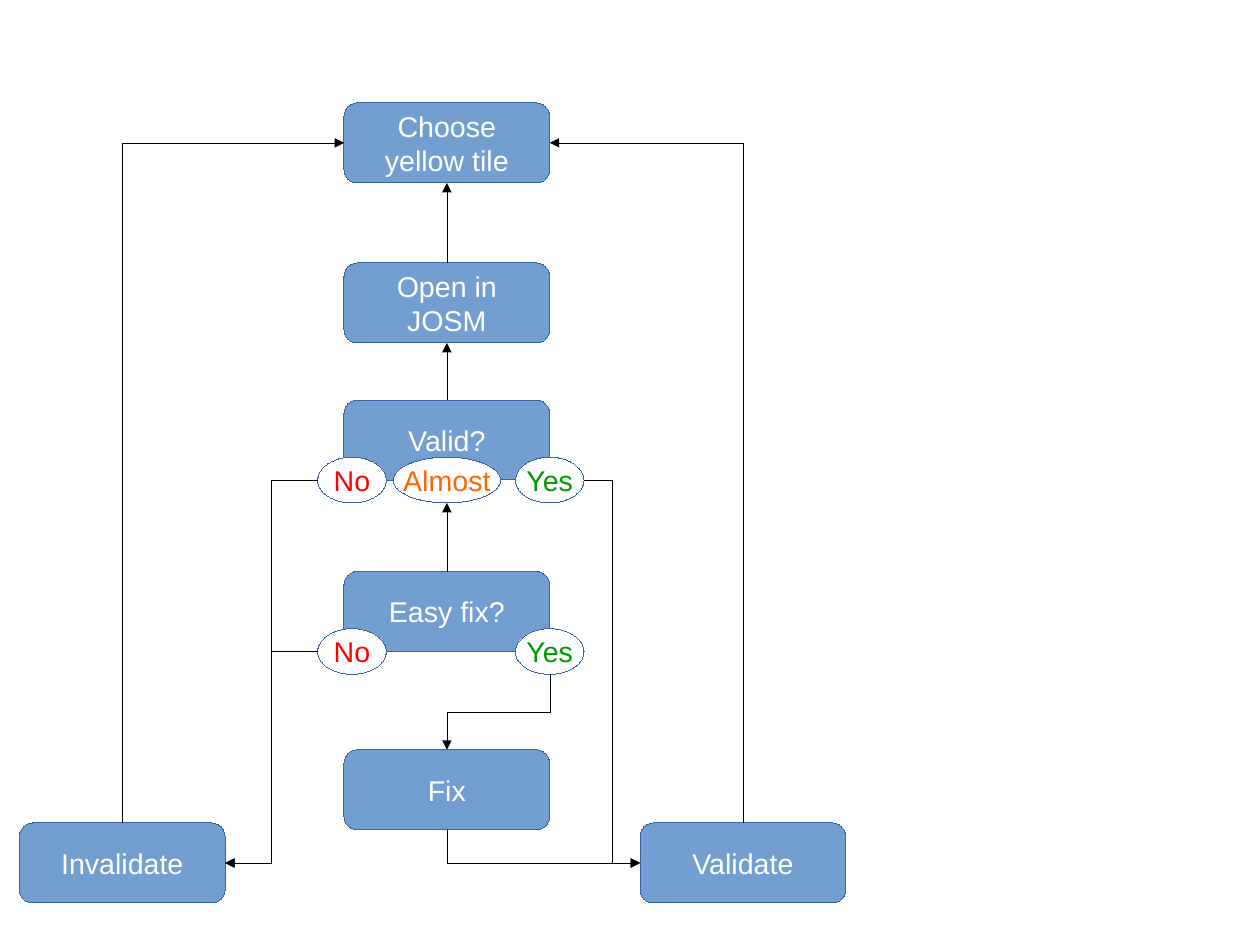
import pptx
import pptx.util
import pptx.dml.color
import pptx.enum.shapes
import pptx.enum.text
import pptx.oxml
import pptx.oxml.ns
from dataclasses import dataclass

Inches = pptx.util.Inches
Shapes = pptx.enum.shapes.MSO_SHAPE
Lines = pptx.enum.shapes.MSO_CONNECTOR
qn = pptx.oxml.ns.qn

# Content: steps (left, top, lines of text)
COLUMN = 3.01
STEPS = {
    "choose": (COLUMN, 0.9, ["Choose", "yellow tile"]),
    "open": (COLUMN, 2.3, ["Open in", "JOSM"]),
    "valid": (COLUMN, 3.5, ["Valid?"]),
    "easy": (COLUMN, 5.0, ["Easy fix?"]),
    "fix": (COLUMN, 6.56, ["Fix"]),
    "validate": (5.6, 7.2, ["Validate"]),
    "invalidate": (0.17, 7.2, ["Invalidate"]),
}
# Answers: question, left, width, text
ANSWERS = {
    "valid yes": ("valid", 4.51, 0.6, "Yes"),
    "valid no": ("valid", 2.78, 0.6, "No"),
    "almost": ("valid", 3.44, 0.94, "Almost"),
    "easy yes": ("easy", 4.51, 0.6, "Yes"),
    "easy no": ("easy", 2.78, 0.6, "No"),
}
TOP, LEFT, BOTTOM, RIGHT = range(4)
ARROWS = [
    ("open", TOP, "choose", BOTTOM),
    ("valid", TOP, "open", BOTTOM),
    ("easy", TOP, "almost", BOTTOM),
    ("valid yes", RIGHT, "validate", LEFT),
    ("valid no", LEFT, "invalidate", RIGHT),
    ("easy no", LEFT, "invalidate", RIGHT),
    ("easy yes", BOTTOM, "fix", TOP),
    ("fix", BOTTOM, "validate", LEFT),
    ("validate", TOP, "choose", RIGHT),
    ("invalidate", TOP, "choose", LEFT),
]
STEP_WIDTH, STEP_HEIGHT, ANSWER_HEIGHT = 1.8, 0.7, 0.4


@dataclass
class Theme:
    font: str = "Arial"
    size: int = 18
    step_fill: str = "729FCF"
    outline: str = "3465A4"
    arrow: str = "000000"
    white: str = "FFFFFF"
    yes: str = "009900"
    no: str = "FF0000"
    almost: str = "FF6600"


theme = Theme()


def rgb(value):
    return pptx.dml.color.RGBColor.from_string(value)


def set_hairline(item, color):
    item.line.color.rgb = rgb(color)
    # A width of zero must be written out to override the style
    line = item._element.spPr.find(qn("a:ln"))
    line.set("w", "0")
    return line


def add_node(page, preset, place, lines, fill, ink):
    node = page.shapes.add_shape(preset, *(Inches(value) for value in place))
    node.shadow.inherit = False
    node.fill.solid()
    node.fill.fore_color.rgb = rgb(fill)
    set_hairline(node, theme.outline)
    frame = node.text_frame
    frame.word_wrap = False
    frame.vertical_anchor = pptx.enum.text.MSO_ANCHOR.MIDDLE
    frame.text = "\n".join(lines)
    for para in frame.paragraphs:
        para.alignment = pptx.enum.text.PP_ALIGN.CENTER
        para.font.name = theme.font
        para.font.size = pptx.util.Pt(theme.size)
        para.font.color.rgb = rgb(ink)
    return node


def side_middle(node, side):
    across = {LEFT: 0, RIGHT: node.width}.get(side, node.width // 2)
    down = {TOP: 0, BOTTOM: node.height}.get(side, node.height // 2)
    return node.left + across, node.top + down


def add_elbow(page, start, end, first_side, last_side):
    (x1, y1), (x2, y2) = start, end
    turn = {TOP: 270, BOTTOM: 90}.get(first_side, 0)
    if turn:
        # Place the unturned line around the same centre
        middle_x, middle_y = (x1 + x2) // 2, (y1 + y2) // 2
        half_run = abs(y2 - y1) // 2
        half_rise = (x2 - x1) // 2 * (1 if turn == 270 else -1)
        x1, x2 = middle_x - half_run, middle_x + half_run
        y1, y2 = middle_y - half_rise, middle_y + half_rise
    arrow = page.shapes.add_connector(Lines.ELBOW, x1, y1, x2, y2)
    properties = arrow._element.spPr
    if turn:
        properties.find(qn("a:xfrm")).set("rot", str(turn * 60000))
    if (first_side - last_side) % 2:
        properties.find(qn("a:prstGeom")).set("prst", "bentConnector2")
    return arrow


def add_arrow(page, nodes, first, first_side, last, last_side):
    start = side_middle(nodes[first], first_side)
    end = side_middle(nodes[last], last_side)
    if abs(start[0] - end[0]) < Inches(0.01):
        arrow = page.shapes.add_connector(Lines.STRAIGHT, *start, *end)
        if first in STEPS:
            arrow.begin_connect(nodes[first], first_side)
        if last in STEPS:
            arrow.end_connect(nodes[last], last_side)
    else:
        arrow = add_elbow(page, start, end, first_side, last_side)
    line = set_hairline(arrow, theme.arrow)
    namespace = pptx.oxml.ns.nsdecls("a")
    line.append(pptx.oxml.parse_xml(f'<a:tailEnd {namespace} type="triangle"/>'))
    arrow._element.spPr.append(pptx.oxml.parse_xml(f"<a:effectLst {namespace}/>"))


def main():
    deck = pptx.Presentation()
    deck.slide_width = pptx.util.Cm(28)
    deck.slide_height = pptx.util.Cm(21)
    page = deck.slides.add_slide(deck.slide_layouts[6])
    nodes = {}

    # Steps
    for name, (left, top, lines) in STEPS.items():
        place = (left, top, STEP_WIDTH, STEP_HEIGHT)
        nodes[name] = add_node(page, Shapes.ROUNDED_RECTANGLE, place, lines,
                               theme.step_fill, theme.white)

    # Answers, centred on the lower edge of their question
    inks = {"Yes": theme.yes, "No": theme.no, "Almost": theme.almost}
    for name, (question, left, width, text) in ANSWERS.items():
        top = STEPS[question][1] + STEP_HEIGHT - ANSWER_HEIGHT / 2
        place = (left, top, width, ANSWER_HEIGHT)
        nodes[name] = add_node(page, Shapes.OVAL, place, [text],
                               theme.white, inks[text])

    # Arrows
    for ends in ARROWS:
        add_arrow(page, nodes, *ends)

    deck.save("out.pptx")


if __name__ == "__main__":
    main()
